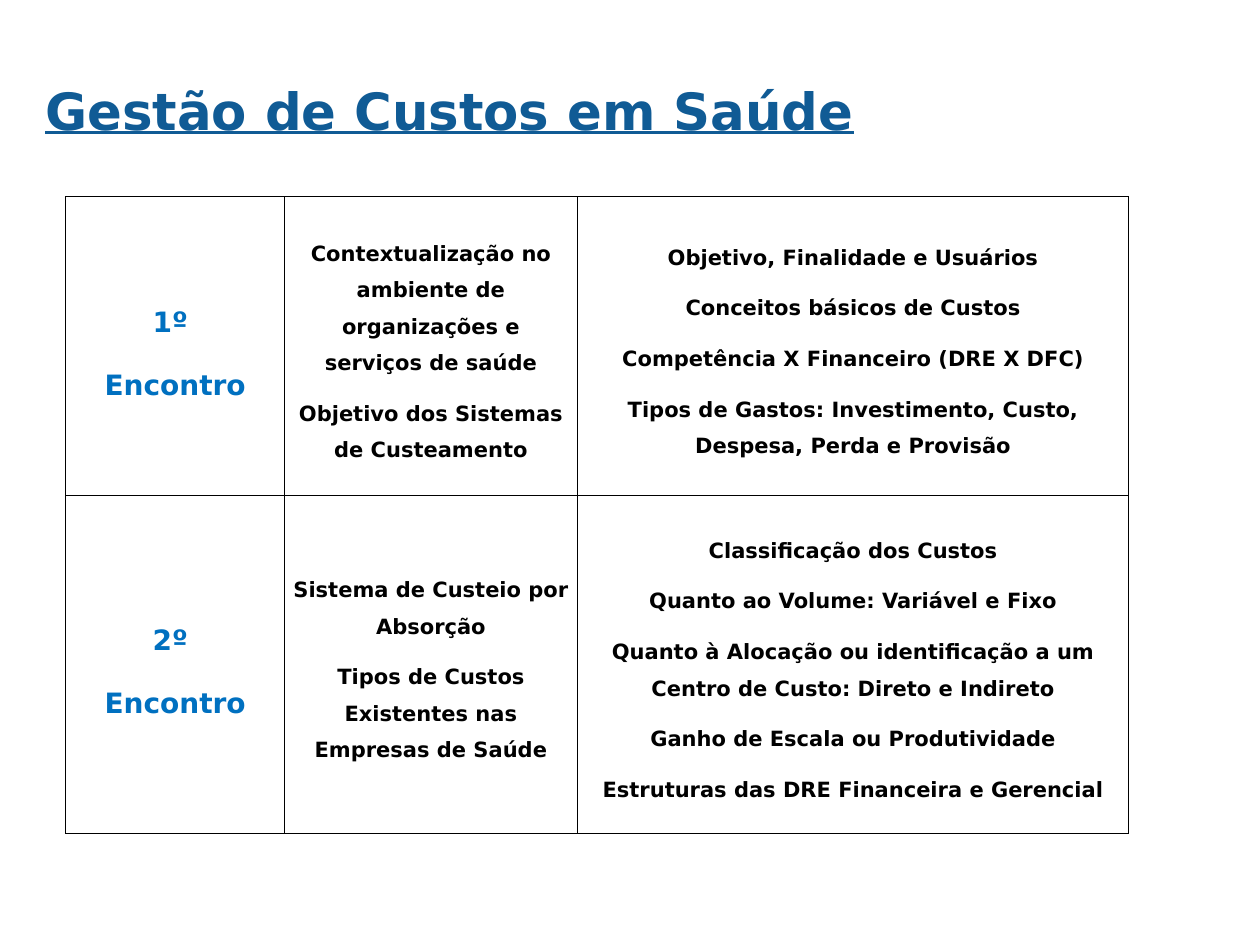
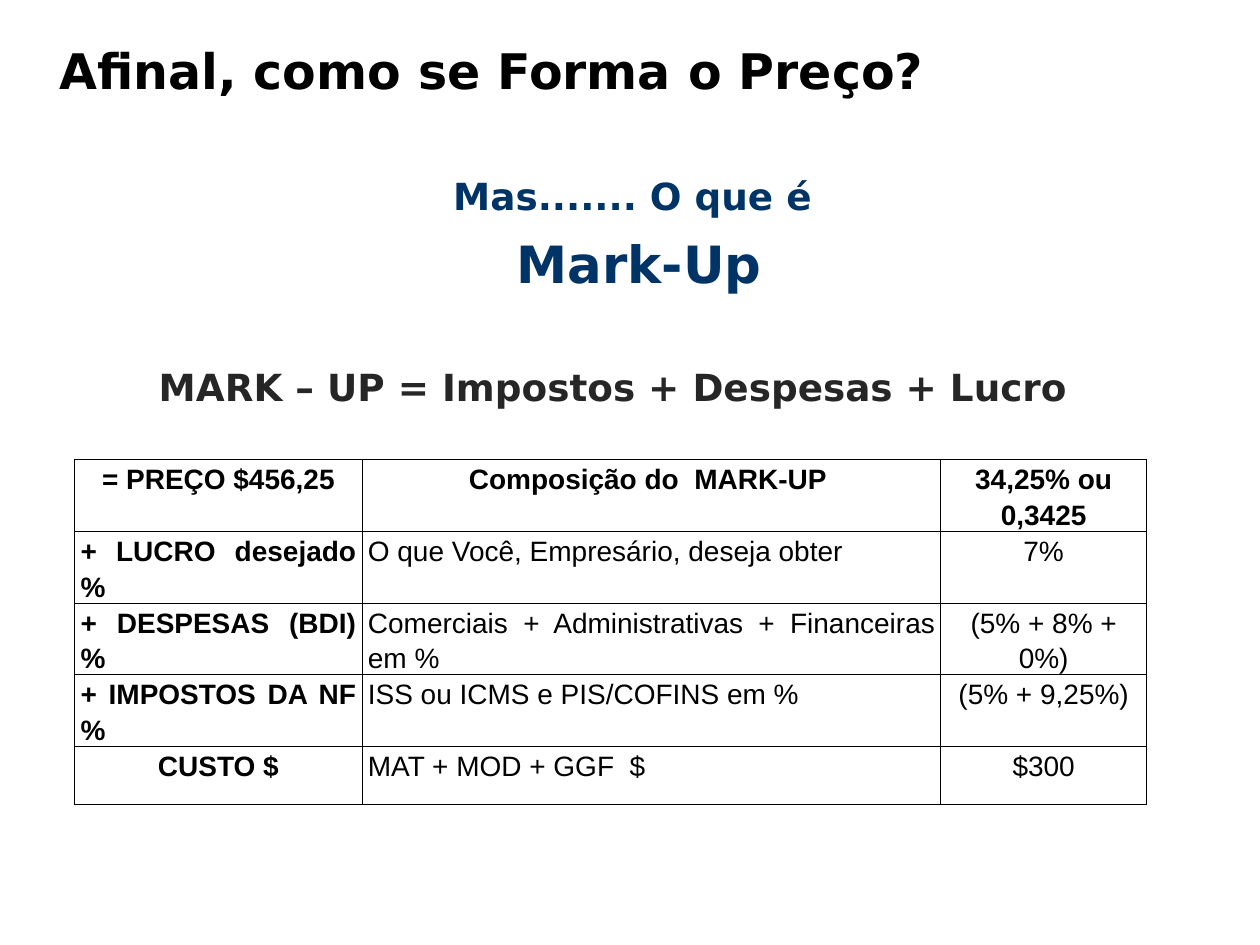
import pptx
import pptx.util
import pptx.dml.color
import pptx.enum.text
import pptx.oxml

Inches, Pt = pptx.util.Inches, pptx.util.Pt
RGB = pptx.dml.color.RGBColor
ALIGN = pptx.enum.text.PP_ALIGN
ANCHOR = pptx.enum.text.MSO_ANCHOR

BLACK = RGB(0, 0, 0)
WHITE = RGB(255, 255, 255)
NAVY = RGB(0x00, 0x33, 0x66)
BLUE = RGB(0x10, 0x5B, 0x95)
SKY = RGB(0x00, 0x70, 0xC0)
GREY = RGB(0x26, 0x26, 0x26)
SANS, ARIAL = "DejaVu Sans", "Arial"

INSETS = dict(margin_left=Inches(0.15), margin_right=Inches(0.15),
              margin_top=Inches(0.07), margin_bottom=Inches(0.07),
              word_wrap=True, auto_size=pptx.enum.text.MSO_AUTO_SIZE.NONE)
EDGE = ('<a:{} xmlns:a="http://schemas.openxmlformats.org/drawingml/2006/main" w="12700">'
        '<a:solidFill><a:srgbClr val="000000"/></a:solidFill></a:{}>')


def write(frame, lines, para, font, color):
    """Add one paragraph per line; an empty first paragraph is used up first."""
    for line in lines:
        p = frame.paragraphs[-1]
        first = len(frame.paragraphs) == 1 and not p.runs
        if not first:
            p = frame.add_paragraph()
        run = p.add_run()
        run.text = line
        for key, value in para.items():
            if not (first and key == "space_before"):
                setattr(p, key, value)
        for key, value in font.items():
            setattr(run.font, key, value)
        run.font.color.rgb = color


def grid(slide, spot, cols, rows):
    """Add a plain table with thin black borders on every cell."""
    frame = slide.shapes.add_table(len(rows), len(cols), *map(Inches, spot))
    table = frame.table
    table.first_row = table.horz_banding = False
    for col, width in zip(table.columns, cols):
        col.width = Inches(width)
    for row, height in zip(table.rows, rows):
        row.height = Inches(height)
    for cell in table.iter_cells():
        cell.margin_left = cell.margin_right = Inches(0.07)
        cell.margin_top = cell.margin_bottom = 0
        props = cell._tc.get_or_add_tcPr()
        for i, side in enumerate(("lnL", "lnR", "lnT", "lnB")):
            props.insert(i, pptx.oxml.parse_xml(EDGE.format(side, side)))
    return table


deck = pptx.Presentation()
deck.slide_width, deck.slide_height = Inches(15), Inches(11.25)

heads = [
    ("Gestão de Custos em Saúde", (0.39, 0.86, 10.94, 1.08), 0.26, ALIGN.LEFT,
     dict(size=Pt(44), underline=True), BLUE),
    ("Afinal, como se Forma o Preço?", (0.06, 0.4, 11.58, 1.16), 0.36, ALIGN.CENTER,
     dict(size=Pt(42)), BLACK),
]
slides = []
for text, spot, base, align, font, color in heads:
    slide = deck.slides.add_slide(deck.slide_layouts[5])
    title = slide.shapes.title
    title.left, title.top, title.width, title.height = map(Inches, spot)
    look = INSETS | dict(margin_bottom=Inches(base), vertical_anchor=ANCHOR.MIDDLE)
    for key, value in look.items():
        setattr(title.text_frame, key, value)
    write(title.text_frame, [text], dict(alignment=align),
          dict(name=SANS, bold=True) | font, color)
    slides.append(slide)
plan, price = slides

# Meeting plan
meets = [
    [["1º ", "Encontro"],
     ["Contextualização no ambiente de organizações e serviços de saúde",
      "Objetivo dos Sistemas de Custeamento"],
     ["Objetivo, Finalidade e Usuários", "Conceitos básicos de Custos",
      "Competência X Financeiro (DRE X DFC)",
      "Tipos de Gastos: Investimento, Custo, Despesa, Perda e Provisão"]],
    [["2º ", "Encontro"],
     ["Sistema de Custeio por Absorção",
      "Tipos de Custos Existentes nas Empresas de Saúde"],
     ["Classificação dos Custos", "Quanto ao Volume: Variável e Fixo",
      "Quanto à Alocação ou identificação a um Centro de Custo: Direto e Indireto",
      "Ganho de Escala ou Produtividade",
      "Estruturas das DRE Financeira e Gerencial"]],
]
table = grid(plan, (0.78, 2.34, 12.66, 7.58), (2.61, 3.48, 6.57), (3.56, 4.02))
loose = dict(alignment=ALIGN.CENTER, line_spacing=1.5,
             space_before=Pt(6), space_after=Pt(6))
for r, meet in enumerate(meets):
    for c, lines in enumerate(meet):
        cell = table.cell(r, c)
        cell.fill.background()
        cell.vertical_anchor = ANCHOR.MIDDLE
        size, color = (18, BLACK) if c else (24, SKY)
        write(cell.text_frame, lines, loose,
              dict(name=SANS, size=Pt(size), bold=True), color)

# Mark-up formula
body = price.shapes.add_textbox(*map(Inches, (0.33, 1.96, 13.94, 8.54))).text_frame
for key, value in (INSETS | dict(margin_top=Inches(0.1))).items():
    setattr(body, key, value)
phrases = [
    ("Mas....... O que é ", 32, NAVY, 0, 0.62),
    ("Mark-Up", 44, NAVY, 6, 0.62),
    ("MARK – UP = Impostos + Despesas + Lucro", 32, GREY, 55, 0),
]
for text, size, color, gap, indent in phrases:
    write(body, [text],
          dict(alignment=ALIGN.CENTER, line_spacing=1.0,
               space_before=Pt(gap), space_after=Pt(6)),
          dict(name=SANS, size=Pt(size), bold=True), color)
    body.paragraphs[-1]._p.get_or_add_pPr().set("indent", str(Inches(indent)))

# Price make-up
parts = [
    ("= PREÇO $456,25", "Composição do  MARK-UP ", "34,25% ou 0,3425"),
    ("+ LUCRO desejado %", "O que Você, Empresário, deseja obter ", "7%"),
    ("+ DESPESAS (BDI) %", "Comerciais + Administrativas + Financeiras em %",
     "(5% + 8% + 0%)"),
    ("+ IMPOSTOS DA NF %", "ISS ou ICMS e PIS/COFINS em %", "(5% + 9,25%)"),
    ("CUSTO $", "MAT + MOD + GGF  $", "$300"),
]
table = grid(price, (0.89, 5.47, 12.76, 3.46), (3.42, 6.89, 2.45), [0.7] + [0.69] * 4)
for r, part in enumerate(parts):
    for c, text in enumerate(part):
        cell = table.cell(r, c)
        cell.fill.solid()
        cell.fill.fore_color.rgb = WHITE
        mid = r == 0 or c == 2 or text == "CUSTO $"
        write(cell.text_frame, [text],
              dict(alignment=ALIGN.CENTER if mid else ALIGN.JUSTIFY,
                   line_spacing=1.15, space_after=Pt(10)),
              dict(name=ARIAL, size=Pt(24), bold=r == 0 or c == 0), BLACK)

deck.save("out.pptx")
